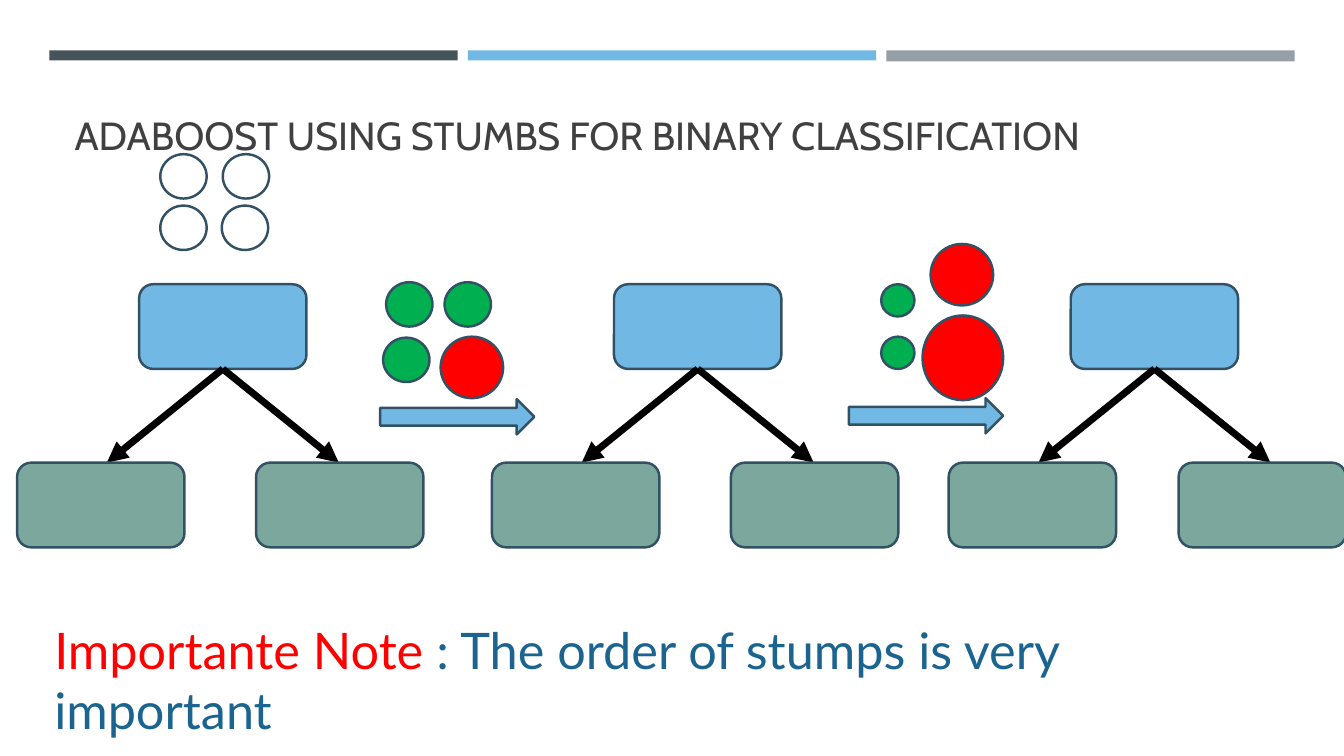
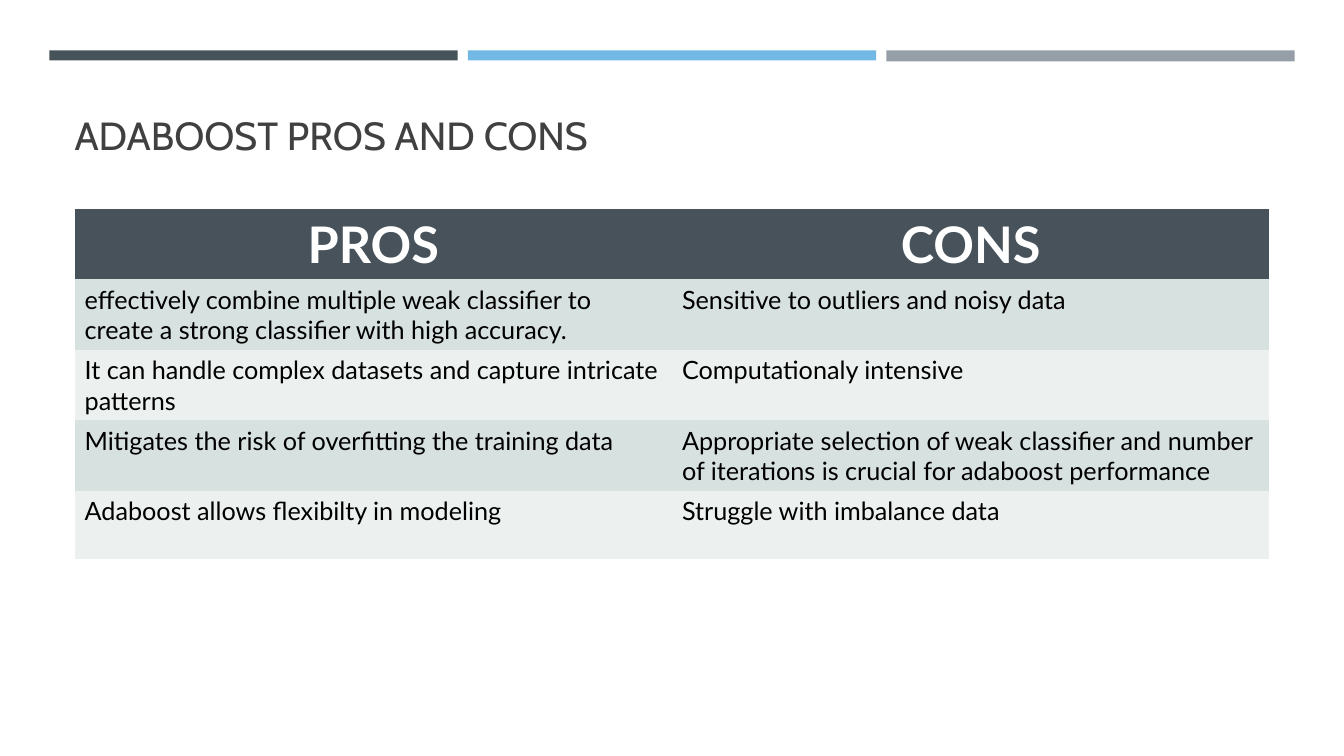
from dataclasses import dataclass

from lxml import etree
from pptx import Presentation
from pptx import util as u
from pptx.dml.color import RGBColor
from pptx.enum import shapes, text
from pptx.oxml import ns

SCALE = 9144
WIDE, HIGH = 1333, 750
HEX = {
    "slate": "465359",
    "sky": "71B9E4",
    "gray": "969FA7",
    "title": "404040",
    "edge": "325164",
    "leaf": "7BA79D",
    "green": "00B050",
    "red": "FF0000",
    "note": "1B648F",
    "black": "000000",
    "white": "FFFFFF",
    "head": "47525A",
    "dark": "D7E1DF",
    "light": "ECF1EF",
}
KIND = shapes.MSO_SHAPE
PLAIN = "{2D5ABB26-0587-4C30-8999-92F81FD0307C}"


@dataclass
class Box:
    left: int
    top: int
    wide: int
    high: int

    def emu(self) -> list[int]:
        return [px(n) for n in (self.left, self.top, self.wide, self.high)]


@dataclass
class Band:
    left: int
    high: int
    hue: str


@dataclass
class Tree:
    left: int
    gap: int


@dataclass
class Ball:
    box: Box
    hue: str | None


BANDS = [Band(49, 10, "slate"), Band(464, 10, "sky"), Band(879, 11, "gray")]
TREES = [Tree(138, 237), Tree(609, 237), Tree(1062, 228)]
ARROWS = [Box(377, 396, 153, 35), Box(842, 395, 153, 35)]
BALLS = [
    Ball(Box(380, 335, 46, 44), "green"),
    Ball(Box(383, 280, 46, 44), "green"),
    Ball(Box(441, 280, 46, 44), "green"),
    Ball(Box(437, 334, 62, 61), "red"),
    Ball(Box(874, 334, 33, 32), "green"),
    Ball(Box(874, 282, 33, 32), "green"),
    Ball(Box(915, 313, 80, 84), "red"),
    Ball(Box(923, 242, 62, 61), "red"),
    Ball(Box(159, 204, 46, 44), None),
    Ball(Box(220, 204, 46, 44), None),
    Ball(Box(159, 153, 46, 44), None),
    Ball(Box(221, 153, 46, 44), None),
]
ROWS = [
    ("PROS", "CONS"),
    ("effectively combine multiple weak classifier to create a strong "
     "classifier with high accuracy.", "Sensitive to outliers and noisy data"),
    ("It can handle complex datasets and capture intricate patterns",
     "Computationaly intensive"),
    ("Mitigates the risk of overfitting the training data",
     "Appropriate selection of weak classifier and number of iterations "
     "is crucial for adaboost performance"),
    ("Adaboost allows flexibilty in modeling", "Struggle with imbalance data"),
]


def px(n: int) -> int:
    return n * SCALE


def tint(name: str) -> RGBColor:
    return RGBColor.from_string(HEX[name])


def write(para, words: str, size: int, hue: str, face: str = "Lato",
          bold: bool = False) -> None:
    run = para.add_run()
    run.text = words
    run.font.name = face
    run.font.size = u.Pt(size)
    run.font.bold = bold
    run.font.color.rgb = tint(hue)


def draw(slide, kind, box: Box, hue: str | None, edge: bool = True) -> None:
    shape = slide.shapes.add_shape(kind, *box.emu())
    shape.shadow.inherit = False
    if hue:
        shape.fill.solid()
        shape.fill.fore_color.rgb = tint(hue)
    else:
        shape.fill.background()
    if edge:
        shape.line.color.rgb = tint("edge")
        shape.line.width = u.Pt(1.75)
    else:
        shape.line.fill.background()


def link(slide, x: int, y: int, to_x: int, to_y: int) -> None:
    line = slide.shapes.add_connector(
        shapes.MSO_CONNECTOR.STRAIGHT, px(x), px(y), px(to_x), px(to_y))
    line.line.color.rgb = tint("black")
    line.line.width = u.Pt(5)
    tail = etree.SubElement(line.line._get_or_add_ln(), ns.qn("a:tailEnd"))
    tail.set("type", "triangle")
    etree.SubElement(line._element.spPr, ns.qn("a:effectLst"))


def start(deck, words: str):
    slide = deck.slides.add_slide(deck.slide_layouts[5])
    for band in BANDS:
        draw(slide, KIND.RECTANGLE, Box(band.left, 50, 405, band.high),
             band.hue, False)
    title = slide.shapes.title
    title.left, title.top, title.width, title.height = Box(
        64, 77, 1206, 85).emu()
    frame = title.text_frame
    frame.auto_size = text.MSO_AUTO_SIZE.NONE
    frame.vertical_anchor = text.MSO_ANCHOR.BOTTOM
    para = frame.paragraphs[0]
    para.alignment = text.PP_ALIGN.LEFT
    write(para, words, 28, "title", "Cabin")
    return slide


def grow(slide, tree: Tree) -> None:
    wide, high, top, low = 166, 84, 282, 459
    draw(slide, KIND.ROUNDED_RECTANGLE, Box(tree.left, top, wide, high), "sky")
    mid = tree.left + wide // 2
    for side in (-115, 115):
        link(slide, mid, top + high, mid + side, low)
    first = tree.left - 121
    for left in (first, first + tree.gap):
        draw(slide, KIND.ROUNDED_RECTANGLE, Box(left, low, wide, high), "leaf")


def stumps(deck) -> None:
    slide = start(deck, "ADABOOST USING STUMBS FOR BINARY CLASSIFICATION")
    for tree in TREES:
        grow(slide, tree)
    for box in ARROWS:
        draw(slide, KIND.RIGHT_ARROW, box, "sky")
    for ball in BALLS:
        draw(slide, KIND.OVAL, ball.box, ball.hue)
    frame = slide.shapes.add_textbox(*Box(44, 609, 1236, 71).emu()).text_frame
    frame.word_wrap = True
    para = frame.paragraphs[0]
    write(para, "Importante Note ", 36, "red")
    write(para, ": The order of stumps is very important", 36, "note")


def compare(deck) -> None:
    slide = start(deck, "ADABOOST PROS AND CONS")
    table = slide.shapes.add_table(
        len(ROWS), 2, *Box(74, 207, 1185, 347).emu()).table
    table._tbl.tblPr.find(ns.qn("a:tableStyleId")).text = PLAIN
    for i, row in enumerate(ROWS):
        head = i == 0
        table.rows[i].height = px(67 if i == len(ROWS) - 1 else 70)
        for j, words in enumerate(row):
            cell = table.cell(i, j)
            cell.fill.solid()
            cell.fill.fore_color.rgb = tint(
                "head" if head else "dark" if i % 2 else "light")
            para = cell.text_frame.paragraphs[0]
            if head:
                para.alignment = text.PP_ALIGN.CENTER
                write(para, words, 36, "white", bold=True)
            else:
                write(para, words, 18, "black")


def main() -> None:
    deck = Presentation()
    deck.slide_width, deck.slide_height = px(WIDE), px(HIGH)
    stumps(deck)
    compare(deck)
    deck.save("out.pptx")


if __name__ == "__main__":
    main()
